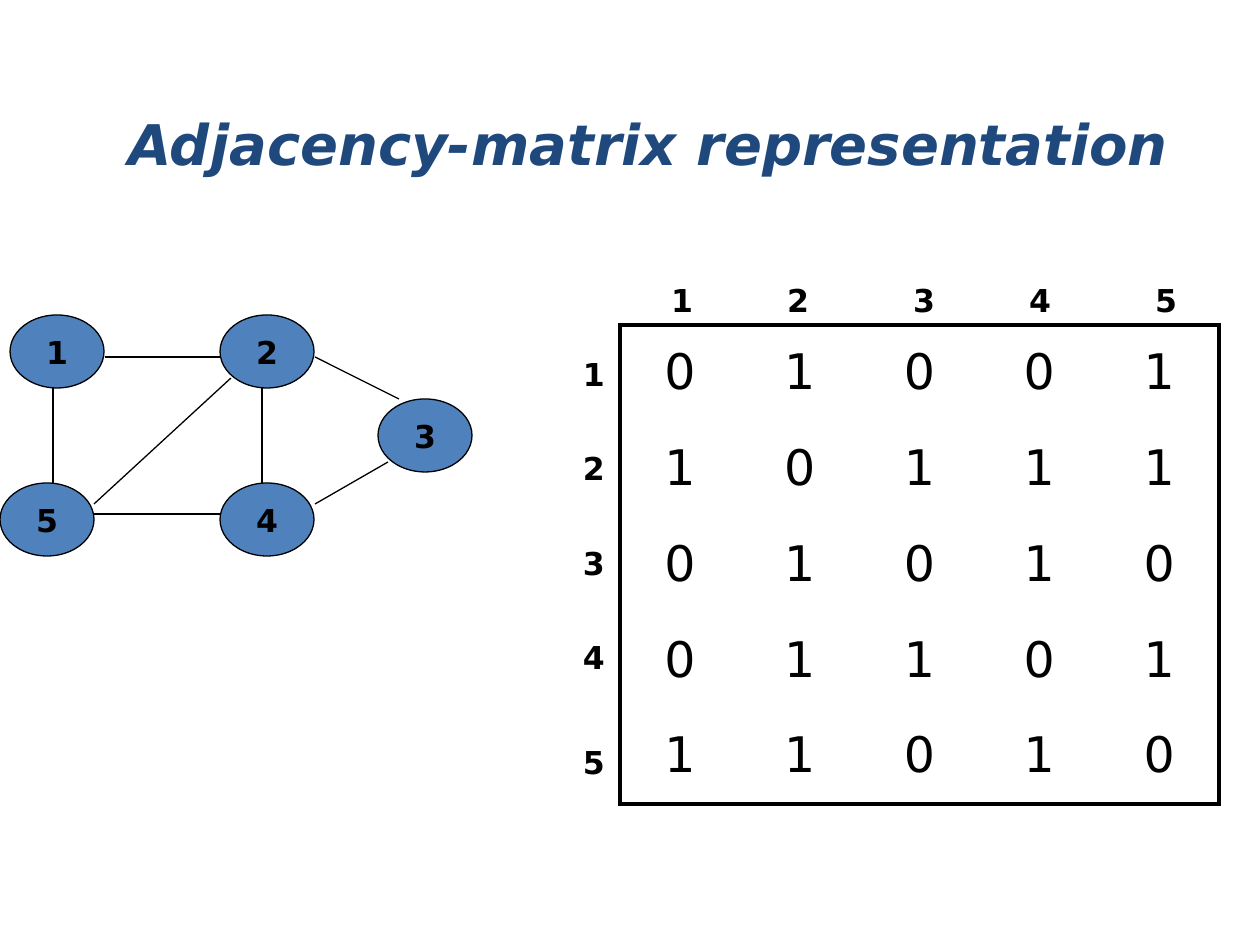
import pptx
import pptx.dml.color
import pptx.enum.shapes
import pptx.enum.text
import pptx.oxml.ns
import pptx.util
from lxml import etree

TITLE = "Adjacency-matrix representation"
NODES = {"1": (10, 315), "2": (220, 315), "3": (378, 399), "4": (220, 483), "5": (0, 483)}
EDGES = {
    ("1", "2"): (105, 357, 220, 357),
    ("5", "4"): (94, 514, 220, 514),
    ("1", "5"): (53, 388, 53, 483),
    ("2", "4"): (262, 388, 262, 483),
    ("2", "3"): (315, 357, 399, 399),
    ("4", "3"): (315, 504, 388, 462),
    ("2", "5"): (231, 378, 94, 504),
}
MATRIX = ["01001", "10111", "01010", "01101", "11010"]
COLUMN_LABEL_LEFTS = [640, 756, 882, 998, 1124]
ROW_LABEL_TOPS = [347, 441, 536, 630, 735]

COLORS = {"node": "4F81BD", "title": "1F497D", "ink": "000000"}
FONT = "DejaVu Sans"
NODE_SIZE = (94, 73)
TABLE_AREA = (620, 325, 599, 479)
BORDER_PT = 2.25
EMU_PER_PX = 914400 / 126


def px(*lengths):
    return [pptx.util.Emu(round(length * EMU_PER_PX)) for length in lengths]


def rgb(name):
    return pptx.dml.color.RGBColor.from_string(COLORS[name])


def write(frame, text, size, color="ink", bold=False, italic=False, centred=True):
    frame.text = text
    paragraph = frame.paragraphs[0]
    if centred:
        paragraph.alignment = pptx.enum.text.PP_ALIGN.CENTER
    font = paragraph.runs[0].font
    font.name, font.size = FONT, pptx.util.Pt(size)
    font.bold, font.italic = bold, italic
    font.color.rgb = rgb(color)


def write_label(shape, text):
    frame = shape.text_frame
    write(frame, text, 18, bold=True)
    frame.word_wrap = False
    frame.vertical_anchor = pptx.enum.text.MSO_ANCHOR.MIDDLE


def add_node(page, text, left, top):
    node = page.shapes.add_shape(
        pptx.enum.shapes.MSO_SHAPE.OVAL, *px(left, top, *NODE_SIZE))
    node.shadow.inherit = False
    node.fill.solid()
    node.fill.fore_color.rgb = rgb("node")
    node.line.color.rgb = rgb("ink")
    node.line.width = pptx.util.Pt(0.75)
    write_label(node, text)


def add_edge(page, ends):
    edge = page.shapes.add_connector(
        pptx.enum.shapes.MSO_CONNECTOR.STRAIGHT, *px(*ends))
    edge.line.color.rgb = rgb("ink")
    edge.line.width = pptx.util.Pt(0.75)
    etree.SubElement(edge._element.spPr, pptx.oxml.ns.qn("a:effectLst"))


def set_borders(cell, outer_sides):
    """Draw the outer sides of a cell and clear the others."""
    properties = cell._tc.get_or_add_tcPr()
    for side in "LRTB":
        line = etree.SubElement(properties, pptx.oxml.ns.qn("a:ln" + side))
        if side in outer_sides:
            line.set("w", str(pptx.util.Pt(BORDER_PT)))
            fill = etree.SubElement(line, pptx.oxml.ns.qn("a:solidFill"))
            etree.SubElement(fill, pptx.oxml.ns.qn("a:srgbClr"), val=COLORS["ink"])
        else:
            etree.SubElement(line, pptx.oxml.ns.qn("a:noFill"))


def add_matrix(page):
    count = len(MATRIX)
    table = page.shapes.add_table(count, count, *px(*TABLE_AREA)).table
    table.first_row = table.horz_banding = False
    for row, values in enumerate(MATRIX):
        for column, value in enumerate(values):
            cell = table.cell(row, column)
            write(cell.text_frame, value, 28)
            cell.vertical_anchor = pptx.enum.text.MSO_ANCHOR.MIDDLE
            outer = {"L": column == 0, "R": column == count - 1,
                     "T": row == 0, "B": row == count - 1}
            set_borders(cell, [side for side, is_outer in outer.items() if is_outer])
            cell.fill.background()


def main():
    deck = pptx.Presentation()
    deck.slide_width, deck.slide_height = px(1260, 945)
    page = deck.slides.add_slide(deck.slide_layouts[6])

    for text, (left, top) in NODES.items():
        add_node(page, text, left, top)
    for ends in EDGES.values():
        add_edge(page, ends)
    add_matrix(page)

    column_labels = [(left, 273, 84, 53) for left in COLUMN_LABEL_LEFTS]
    row_labels = [(568, top, 52, 53) for top in ROW_LABEL_TOPS]
    for areas in (column_labels, row_labels):
        for number, area in enumerate(areas, 1):
            write_label(page.shapes.add_textbox(*px(*area)), str(number))

    title = page.shapes.add_textbox(*px(116, 103, 1097, 79)).text_frame
    title.word_wrap = True
    write(title, TITLE, 32, "title", bold=True, italic=True, centred=False)

    deck.save("out.pptx")


if __name__ == "__main__":
    main()
